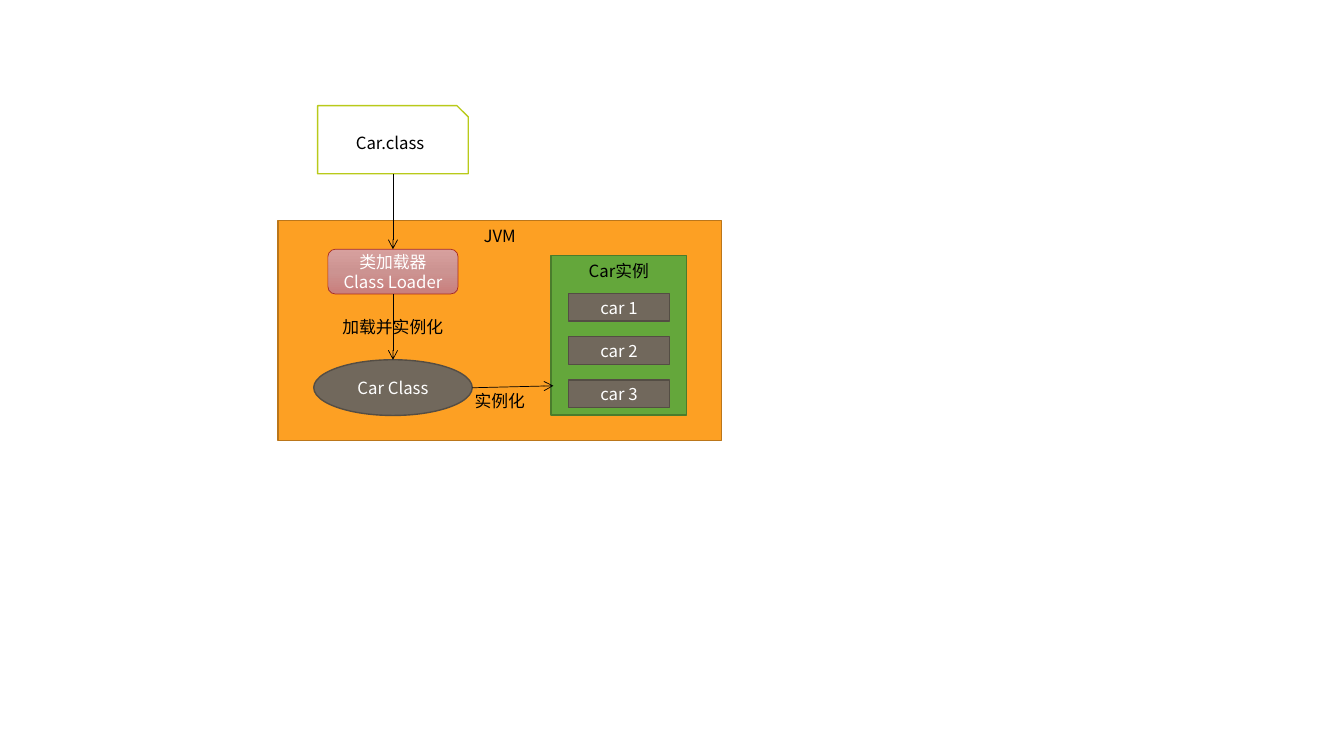
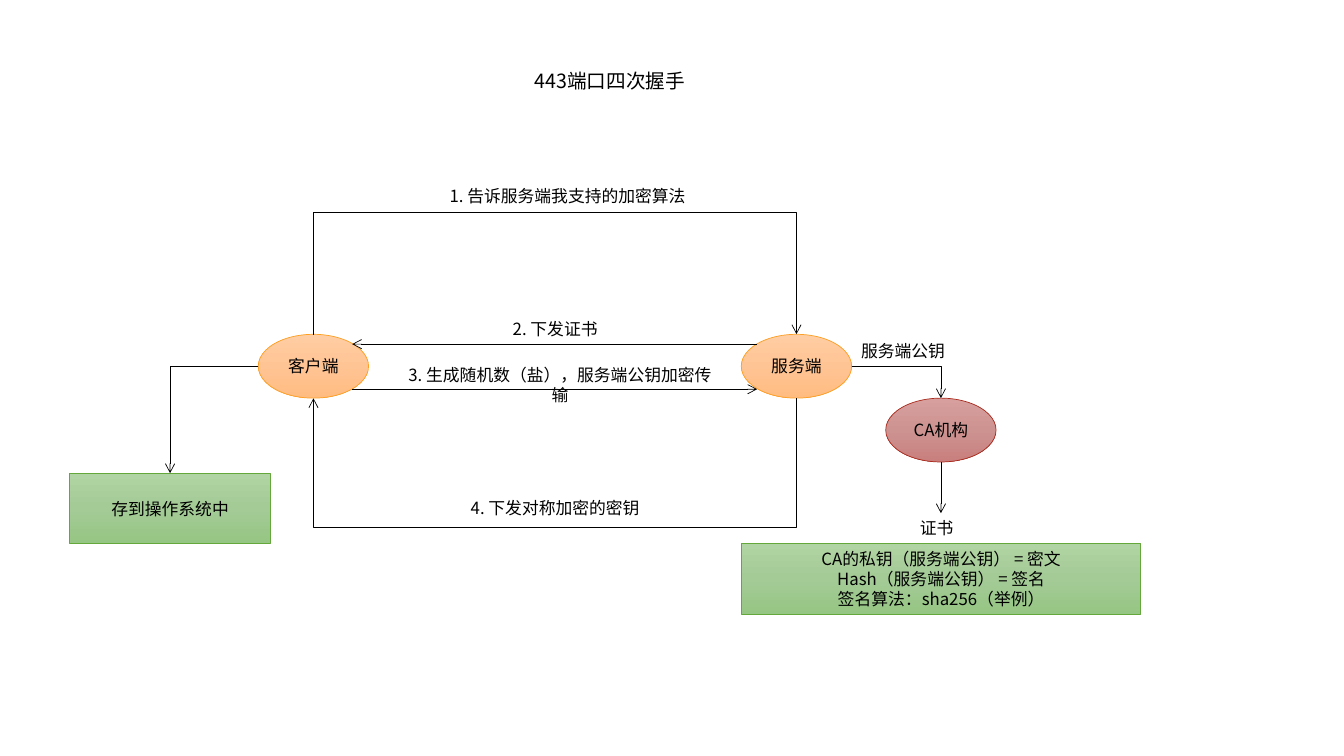
from copy import deepcopy
from dataclasses import dataclass

from pptx import Presentation
from pptx.dml.color import RGBColor
from pptx.enum.shapes import MSO_CONNECTOR, MSO_SHAPE
from pptx.enum.text import MSO_ANCHOR, MSO_AUTO_SIZE, PP_ALIGN
from pptx.oxml.ns import qn
from pptx.oxml.xmlchemy import OxmlElement
from pptx.shapes.autoshape import Shape
from pptx.shapes.connector import Connector
from pptx.slide import Slide
from pptx.text.text import TextFrame
from pptx.util import Pt

FONT = "Noto Sans CJK SC"
BLACK = "000000"
WHITE = "FFFFFF"
BEND_WIDTH = 0.25


@dataclass(frozen=True)
class Style:
    fills: tuple[str, ...]
    line: str
    line_width: float = 0.5
    text: str = BLACK


@dataclass(frozen=True)
class Node:
    kind: MSO_SHAPE
    left: float
    top: float
    width: float
    height: float
    style: Style
    lines: tuple[str, ...] = ()


@dataclass(frozen=True)
class Label:
    left: float
    top: float
    width: float
    text: str
    align: PP_ALIGN = PP_ALIGN.CENTER
    size: float = 12
    height: float = 21.8


ORANGE_PANEL = Style(("FDA023",), "BB761A", 1)
GREEN_PANEL = Style(("64A73B",), "4A7C2C", 1)
FILE = Style((WHITE,), "B9CA1A", 1)
BROWN = Style(("71685C",), "544D44", 1, WHITE)
RED = Style(("D7A09E", "CC9391", "C97F7D"), "AA2B1E")
RED_WHITE_TEXT = Style(RED.fills, RED.line, text=WHITE)
PEACH = Style(("FFCDA3", "FFC494", "FFBC81"), "FDA023")
GREEN = Style(("B0D4A3", "A4CA96", "95C683"), "64A73B")


def color(value: str) -> RGBColor:
    return RGBColor.from_string(value)


def write_text(frame: TextFrame, lines: tuple[str, ...], text_color: str,
               size: float = 12, align: PP_ALIGN = PP_ALIGN.CENTER) -> None:
    frame.word_wrap = True
    for index, line in enumerate(lines):
        paragraph = frame.paragraphs[0] if index == 0 else frame.add_paragraph()
        paragraph.text = line
        paragraph.alignment = align
        font = paragraph.font
        font.size = Pt(size)
        font.color.rgb = color(text_color)
        font.name = FONT
        east_asian = OxmlElement("a:ea")
        east_asian.set("typeface", FONT)
        paragraph._p.pPr.find(qn("a:defRPr")).append(east_asian)


def fill_shape(shape: Shape, fills: tuple[str, ...]) -> None:
    if len(fills) == 1:
        shape.fill.solid()
        shape.fill.fore_color.rgb = color(fills[0])
        return
    shape.fill.gradient()
    shape.fill.gradient_angle = 270
    stop_list = shape._element.spPr.find(qn("a:gradFill")).find(qn("a:gsLst"))
    while len(stop_list) < len(fills):
        stop_list.append(deepcopy(stop_list[0]))
    for index, (stop, value) in enumerate(zip(shape.fill.gradient_stops, fills)):
        stop.position = index / (len(fills) - 1)
        stop.color.rgb = color(value)


def add_node(slide: Slide, node: Node) -> Shape:
    shape = slide.shapes.add_shape(
        node.kind, Pt(node.left), Pt(node.top), Pt(node.width), Pt(node.height))
    shape.shadow.inherit = False
    fill_shape(shape, node.style.fills)
    shape.line.color.rgb = color(node.style.line)
    shape.line.width = Pt(node.style.line_width)
    shape.text_frame.vertical_anchor = MSO_ANCHOR.MIDDLE
    write_text(shape.text_frame, node.lines, node.style.text)
    return shape


def add_label(slide: Slide, label: Label) -> None:
    shape = slide.shapes.add_textbox(
        Pt(label.left), Pt(label.top), Pt(label.width), Pt(label.height))
    write_text(shape.text_frame, (label.text,), BLACK, label.size, label.align)
    shape.text_frame.auto_size = MSO_AUTO_SIZE.SHAPE_TO_FIT_TEXT


def add_arrow(slide: Slide, begin_x: float, begin_y: float, end_x: float, end_y: float,
              kind: MSO_CONNECTOR = MSO_CONNECTOR.STRAIGHT) -> Connector:
    connector = slide.shapes.add_connector(
        kind, Pt(begin_x), Pt(begin_y), Pt(end_x), Pt(end_y))
    connector.line.color.rgb = color(BLACK)
    connector.line.width = Pt(0.5)
    tail = OxmlElement("a:tailEnd")
    tail.set("type", "arrow")
    connector.line._get_or_add_ln().append(tail)
    connector._element.spPr.append(OxmlElement("a:effectLst"))
    return connector


def add_corner_arrow(slide: Slide, begin_x: float, begin_y: float,
                     end_x: float, end_y: float) -> None:
    connector = add_arrow(slide, begin_x, begin_y, end_x, end_y, MSO_CONNECTOR.ELBOW)
    connector._element.spPr.find(qn("a:prstGeom")).set("prst", "bentConnector2")


def add_loop_arrow(slide: Slide, left: float, right: float, y: float,
                   depth: float, rotation: int) -> None:
    center = (left + right) / 2
    half_span = (right - left) / 2
    half_width = BEND_WIDTH / 2
    connector = add_arrow(slide, center - half_width, y - half_span,
                          center + half_width, y + half_span, MSO_CONNECTOR.ELBOW)
    properties = connector._element.spPr
    properties.find(qn("a:xfrm")).set("rot", str(rotation * 60000))
    guide = OxmlElement("a:gd")
    guide.set("name", "adj1")
    guide.set("fmla", f"val {round(depth / BEND_WIDTH * 100000)}")
    properties.find(qn("a:prstGeom")).find(qn("a:avLst")).append(guide)


def build_class_loading(slide: Slide) -> None:
    add_node(slide, Node(MSO_SHAPE.RECTANGLE, 198.6, 157.6, 316.8, 157, ORANGE_PANEL))
    add_label(slide, Label(198.6, 157.6, 316.8, "JVM"))
    class_file = add_node(slide, Node(
        MSO_SHAPE.SNIP_1_RECTANGLE, 226.9, 75.5, 107.6, 48.6, FILE, ("Car.class",)))
    loader = add_node(slide, Node(
        MSO_SHAPE.ROUNDED_RECTANGLE, 234.2, 178, 93, 32, RED_WHITE_TEXT,
        ("类加载器", "Class Loader")))
    car_class = add_node(slide, Node(
        MSO_SHAPE.OVAL, 224.1, 257, 113.2, 39.8, BROWN, ("Car Class",)))
    add_node(slide, Node(MSO_SHAPE.RECTANGLE, 393.6, 182.6, 97, 114, GREEN_PANEL))
    for index in range(3):
        add_node(slide, Node(MSO_SHAPE.RECTANGLE, 406.2, 209.6 + 30.9 * index, 72, 19.8,
                             BROWN, (f"car {index + 1}",)))
    add_label(slide, Label(393.6, 182.6, 97, "Car实例"))

    for source, target in ((class_file, loader), (loader, car_class)):
        arrow = add_arrow(slide, 280.7, 124, 280.7, 178)
        arrow.begin_connect(source, 2)
        arrow.end_connect(target, 0)
    add_arrow(slide, 337.4, 277, 395.3, 275.6)
    add_label(slide, Label(220.5, 222.7, 120.2, "加载并实例化"))
    add_label(slide, Label(296.9, 275.2, 120.2, "实例化"))


def build_handshake(slide: Slide) -> None:
    oval_width, oval_height = 78.8, 45.6
    client_x, server_x, authority_x = 223.9, 568.9, 672.1
    oval_top = 238.8
    oval_middle = oval_top + oval_height / 2
    oval_bottom = oval_top + oval_height
    ovals = (
        (client_x, oval_top, PEACH, "客户端"),
        (server_x, oval_top, PEACH, "服务端"),
        (authority_x, oval_bottom, RED, "CA机构"),
    )
    for center, top, style, text in ovals:
        add_node(slide, Node(MSO_SHAPE.OVAL, center - oval_width / 2, top,
                             oval_width, oval_height, style, (text,)))
    add_node(slide, Node(
        MSO_SHAPE.RECTANGLE, 529.6, 388.2, 285.2, 50.6, GREEN,
        ("CA的私钥（服务端公钥） = 密文", "Hash（服务端公钥） = 签名", "签名算法：sha256（举例）")))
    add_node(slide, Node(
        MSO_SHAPE.RECTANGLE, 49.8, 338, 143.4, 50.2, GREEN, ("存到操作系统中",)))

    add_loop_arrow(slide, client_x, server_x, oval_top, 85.3, 270)
    add_loop_arrow(slide, client_x, server_x, oval_bottom, 90.6, 90)
    add_arrow(slide, 540.8, 245.8, 251.6, 245.8)
    add_arrow(slide, 251.6, 278, 540.8, 278)
    add_corner_arrow(slide, server_x + oval_width / 2, oval_middle, authority_x, oval_bottom)
    add_corner_arrow(slide, client_x - oval_width / 2, oval_middle, 121.5, 338)
    add_arrow(slide, authority_x, oval_bottom + oval_height, authority_x, 366.6)

    labels = (
        Label(367.2, 45.4, 136.8, "443端口四次握手", size=14, height=24.2),
        Label(289.2, 128.9, 232.6, "1. 告诉服务端我支持的加密算法"),
        Label(280.3, 224.2, 232.6, "2. 下发证书"),
        Label(278.8, 256.7, 242.6, "3. 生成随机数（盐），服务端公钥加密传输"),
        Label(280.3, 352.2, 232.6, "4. 下发对称加密的密钥"),
        Label(608, 240, 76.6, "服务端公钥", PP_ALIGN.LEFT),
        Label(650, 366.6, 44.8, "证书", PP_ALIGN.LEFT),
    )
    for label in labels:
        add_label(slide, label)


def main() -> None:
    presentation = Presentation()
    presentation.slide_width = Pt(960)
    presentation.slide_height = Pt(540)
    for build in (build_class_loading, build_handshake):
        build(presentation.slides.add_slide(presentation.slide_layouts[6]))
    presentation.save("out.pptx")


if __name__ == "__main__":
    main()
